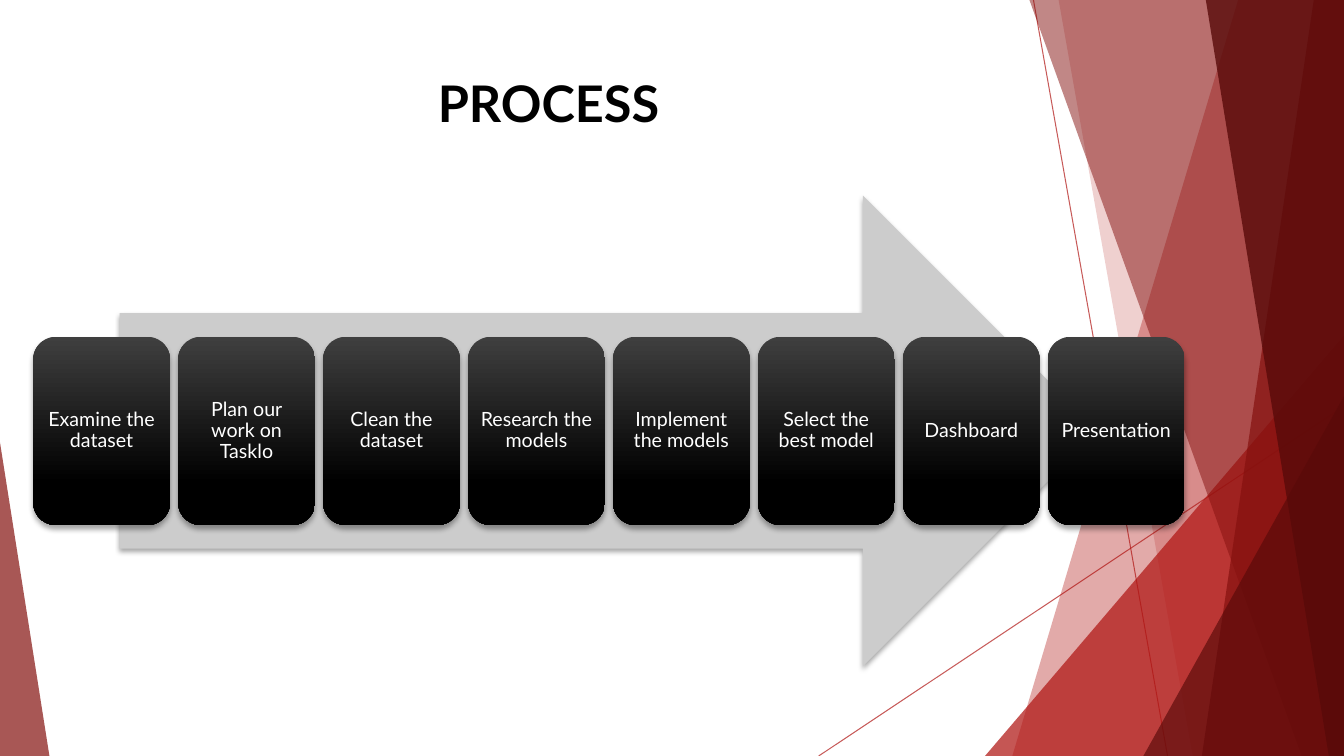
from collections import namedtuple

from lxml import etree
from pptx import Presentation
from pptx.dml.color import RGBColor
from pptx.enum.shapes import MSO_CONNECTOR, MSO_SHAPE
from pptx.enum.text import MSO_ANCHOR, PP_ALIGN
from pptx.oxml.ns import qn
from pptx.util import Inches, Pt

STRAIGHT = MSO_CONNECTOR.STRAIGHT
TRIANGLE = MSO_SHAPE.ISOSCELES_TRIANGLE
ARROW = MSO_SHAPE.RIGHT_ARROW
ROUNDED = MSO_SHAPE.ROUNDED_RECTANGLE
CENTER = PP_ALIGN.CENTER
TOP, MIDDLE = MSO_ANCHOR.TOP, MSO_ANCHOR.MIDDLE

FONT = "Lato"
RED, DARK_RED, DEEP_RED = "B01513", "84100E", "580A09"
STEPS = ["Examine the dataset", "Plan our work on Tasklo", "Clean the dataset",
         "Research the models", "Implement the models", "Select the best model",
         "Dashboard", "Presentation"]

Box = namedtuple("Box", "left top width height")
PAGE = Box(0, 0, 13.33, 7.5)


def color(value):
    """Turn a hex string into a colour."""
    return RGBColor.from_string(value)


def share(box, left, top, width, height):
    """Return the part of a box given by shares of its size."""
    return Box(box.left + left * box.width, box.top + top * box.height,
               width * box.width, height * box.height)


def lengths(values):
    """Convert inches to slide lengths."""
    return [Inches(value) for value in values]


def set_alpha(fill, percent):
    """Make a solid colour partly transparent."""
    rgb = fill.fore_color._xFill.find(qn("a:srgbClr"))
    etree.SubElement(rgb, qn("a:alpha")).set("val", str(percent * 1000))


def paint(shape, value, alpha):
    """Give a shape a flat translucent fill without outline."""
    shape.shadow.inherit = False
    shape.line.fill.background()
    shape.fill.solid()
    shape.fill.fore_color.rgb = color(value)
    set_alpha(shape.fill, alpha)


def drop_shadow(shape, blur, distance):
    """Cast a soft black shadow downwards."""
    shape.shadow.inherit = False
    effects = shape._element.spPr.find(qn("a:effectLst"))
    shadow = etree.SubElement(effects, qn("a:outerShdw"), blurRad=str(Pt(blur)),
                              dist=str(Pt(distance)), dir="5400000", rotWithShape="0")
    black = etree.SubElement(shadow, qn("a:srgbClr"), val="000000")
    etree.SubElement(black, qn("a:alpha"), val="35000")


def add_ray(slide, *ends):
    """Draw a thin translucent red line."""
    ray = slide.shapes.add_connector(STRAIGHT, *lengths(ends))
    ray.line.width = Pt(0.75)
    ray.line.color.rgb = color(RED)
    set_alpha(ray.line.fill, 70)
    etree.SubElement(ray._element.spPr, qn("a:effectLst"))


def add_facet(slide, box, top_x, bottom_x, value, alpha):
    """Fill the area between a slanted edge and the right side of the box."""
    right, bottom = box.left + box.width, box.top + box.height
    builder = slide.shapes.build_freeform(*lengths((top_x, box.top)), scale=1.0)
    corners = [(right, box.top), (right, bottom), (bottom_x, bottom)]
    builder.add_line_segments([lengths(corner) for corner in corners], close=True)
    paint(builder.convert_to_shape(), value, alpha)


def add_corner(slide, box, width, height, apex, value, alpha):
    """Put a right triangle in a lower corner: apex 0 is left, 1 is right."""
    left = box.left + apex * (box.width - width)
    top = box.top + box.height - height
    corner = slide.shapes.add_shape(TRIANGLE, *lengths((left, top, width, height)))
    corner.adjustments[0] = apex
    paint(corner, value, alpha)


def add_backdrop(slide, box):
    """Layer the red facets along the sides of the box."""
    right, bottom = box.left + box.width, box.top + box.height
    add_ray(slide, 10.25, box.top, 11.58, bottom)
    add_ray(slide, right, 4.03, 8.12, bottom)
    add_facet(slide, box, 12.28, 10.04, RED, 36)
    add_facet(slide, box, 10.5, 11.83, RED, 20)
    add_corner(slide, box, 3.56, 4.17, 1, RED, 72)
    add_facet(slide, box, 10.21, 12.91, DARK_RED, 50)
    add_facet(slide, box, 13.03, 11.92, DARK_RED, 70)
    add_facet(slide, box, 11.96, 13.18, DEEP_RED, 80)
    add_corner(slide, box, 1.99, 3.57, 1, DEEP_RED, 66)
    add_corner(slide, box, 0.49, 3.11, 0, DARK_RED, 70)


def write(frame, text, size, value, anchor):
    """Write one centred paragraph."""
    frame.word_wrap = True
    frame.vertical_anchor = anchor
    para = frame.paragraphs[0]
    para.text = text
    para.alignment = CENTER
    para.font.name, para.font.size = FONT, Pt(size)
    para.font.color.rgb = color(value)
    return para


def add_title(slide, box, text):
    """Move and format the title placeholder."""
    title = slide.shapes.title
    title.left, title.top, title.width, title.height = lengths(box)
    write(title.text_frame, text, 36, "000000", TOP).font.bold = True


def add_step(slide, box, text):
    """Draw one black step card with its label."""
    card = slide.shapes.add_shape(ROUNDED, *lengths(box))
    card.line.fill.background()
    card.fill.gradient()
    card.fill.gradient_angle = 270
    for stop, (position, value) in zip(card.fill.gradient_stops,
                                       [(0, "3F3F3F"), (0.78, "000000")]):
        stop.position = position
        stop.color.rgb = color(value)
    drop_shadow(card, 4, 3)
    frame = card.text_frame
    frame.margin_left = frame.margin_right = Inches(0.06)
    frame.margin_top = frame.margin_bottom = Inches(0.06)
    write(frame, text, 14, "FFFFFF", MIDDLE).line_spacing = 0.9


def add_process(slide, box, steps):
    """Lay equal step cards in a row over a wide arrow."""
    arrow = slide.shapes.add_shape(ARROW, *lengths(share(box, 0.075, 0, 0.85, 1)))
    arrow.fill.solid()
    arrow.fill.fore_color.rgb = color("CCCCCC")
    arrow.line.fill.background()
    drop_shadow(arrow, 3, 2)
    gap = 0.08 / box.width
    width = (1 - gap * (len(steps) - 1)) / len(steps)
    for index, text in enumerate(steps):
        add_step(slide, share(box, index * (width + gap), 0.3, width, 0.4), text)


deck = Presentation()
deck.slide_width, deck.slide_height = lengths(PAGE[2:])
page = deck.slides.add_slide(deck.slide_layouts[5])
add_backdrop(page, PAGE)
add_title(page, Box(0.74, 0.67, 9.4, 1.44), "PROCESS")
add_process(page, Box(0.33, 1.94, 11.42, 4.67), STEPS)
deck.save("out.pptx")
